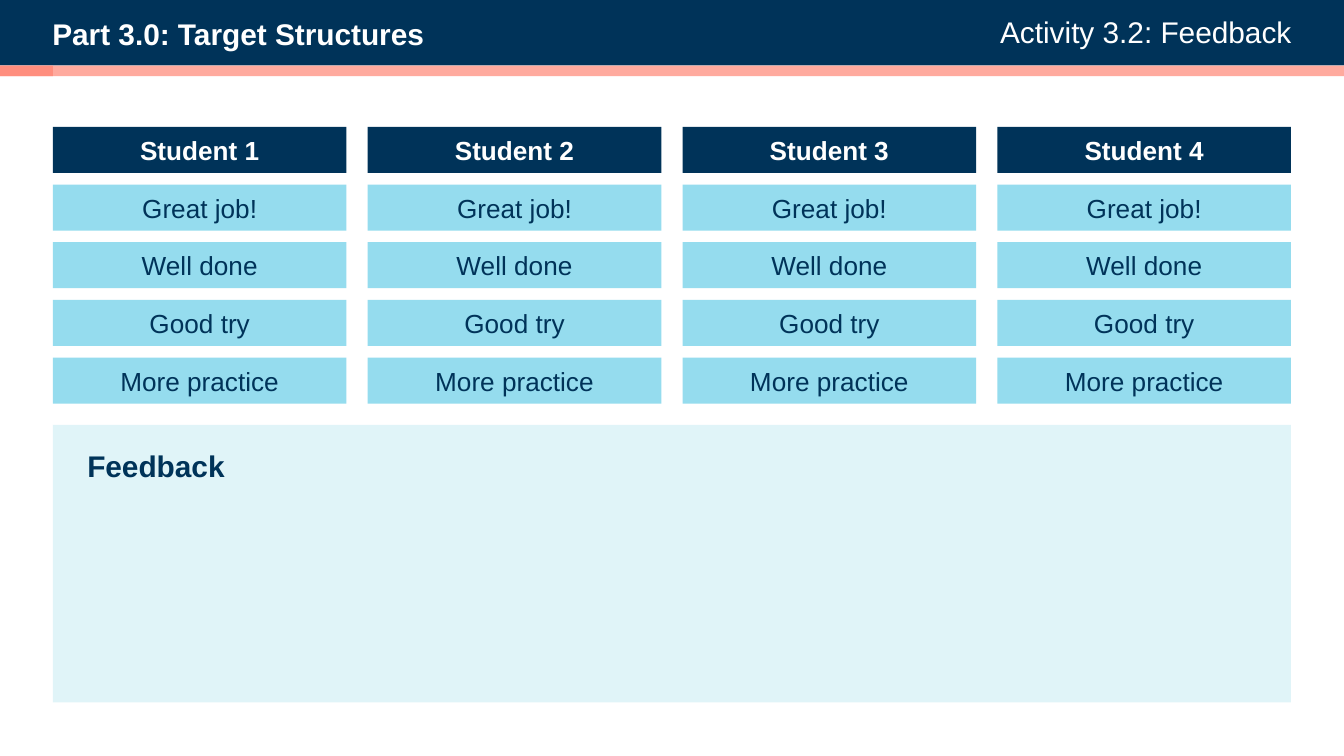
"""Build the feedback activity slide with four student columns."""
from dataclasses import dataclass

from lxml.etree import SubElement
from pptx import Presentation
from pptx.dml.color import RGBColor
from pptx.enum.shapes import MSO_SHAPE
from pptx.enum.text import MSO_ANCHOR, PP_ALIGN
from pptx.oxml.ns import qn
from pptx.shapes.autoshape import Shape
from pptx.slide import Slide
from pptx.util import Cm, Pt

NAVY, SKY, PALE, CORAL, WHITE = "003359", "95DCEE", "E0F4F8", "FF8E7E", "FFFFFF"
COLUMNS = 4
LEFT, TOP = 1.0, 2.4
CARD_W, CARD_H = 5.55, 0.87
STEP_X, STEP_Y = 5.95, 1.09
COMMENTS = ("Great job!", "Well done", "Good try", "More practice")


@dataclass(frozen=True)
class Box:
    left: float
    top: float
    width: float
    height: float

    def lengths(self) -> tuple[Cm, Cm, Cm, Cm]:
        return Cm(self.left), Cm(self.top), Cm(self.width), Cm(self.height)


@dataclass(frozen=True)
class Label:
    text: str
    color: str
    size: int = 16
    bold: bool = False
    align: PP_ALIGN = PP_ALIGN.LEFT
    anchor: MSO_ANCHOR = MSO_ANCHOR.TOP


def rgb(value: str) -> RGBColor:
    return RGBColor.from_string(value)


def write(sp: Shape, label: Label) -> None:
    tf = sp.text_frame
    tf.text = label.text
    tf.word_wrap = True
    tf.vertical_anchor = label.anchor
    tf.margin_left = tf.margin_right = tf.margin_top = tf.margin_bottom = 0
    p = tf.paragraphs[0]
    p.alignment = label.align
    font = p.runs[0].font
    font.name, font.size, font.bold = "Arial", Pt(label.size), label.bold
    font.color.rgb = rgb(label.color)


def add_rect(s: Slide, box: Box, fill: str, opacity: int = 100) -> Shape:
    sp = s.shapes.add_shape(MSO_SHAPE.RECTANGLE, *box.lengths())
    sp.shadow.inherit = False
    sp.line.fill.background()
    sp.fill.solid()
    sp.fill.fore_color.rgb = rgb(fill)
    if opacity < 100:
        color = sp.fill._xPr.find(f"{qn('a:solidFill')}/{qn('a:srgbClr')}")
        SubElement(color, qn("a:alpha"), val=str(opacity * 1000))
    return sp


def add_text(s: Slide, box: Box, label: Label) -> None:
    write(s.shapes.add_textbox(*box.lengths()), label)


def add_card(s: Slide, column: int, row: int, text: str) -> None:
    header = row == 0
    box = Box(LEFT + column * STEP_X, TOP + row * STEP_Y, CARD_W, CARD_H)
    sp = add_rect(s, box, NAVY if header else SKY)
    write(sp, Label(text, WHITE if header else NAVY, 14, header,
                    PP_ALIGN.CENTER, MSO_ANCHOR.MIDDLE))


def main() -> None:
    prs = Presentation()
    prs.slide_width, prs.slide_height = Cm(25.4), Cm(14.29)
    s = prs.slides.add_slide(prs.slide_layouts[6])

    add_rect(s, Box(0, 0, 25.4, 1.24), NAVY)
    add_text(s, Box(0.99, 0.29, 14.35, 0.69),
             Label("Part 3.0: Target Structures", WHITE, bold=True))
    add_text(s, Box(15.42, 0.25, 8.99, 0.71),
             Label("Activity 3.2: Feedback", WHITE, align=PP_ALIGN.RIGHT))
    add_rect(s, Box(0, 1.24, 25.4, 0.2), CORAL, 75)
    add_rect(s, Box(0, 1.24, 1.0, 0.2), CORAL)

    for column in range(COLUMNS):
        for row, text in enumerate((f"Student {column + 1}", *COMMENTS)):
            add_card(s, column, row, text)

    add_rect(s, Box(LEFT, 8.03, 23.4, 5.25), PALE)
    add_text(s, Box(1.65, 8.46, 6.1, 0.69), Label("Feedback", NAVY, bold=True))

    prs.save("out.pptx")


if __name__ == "__main__":
    main()
